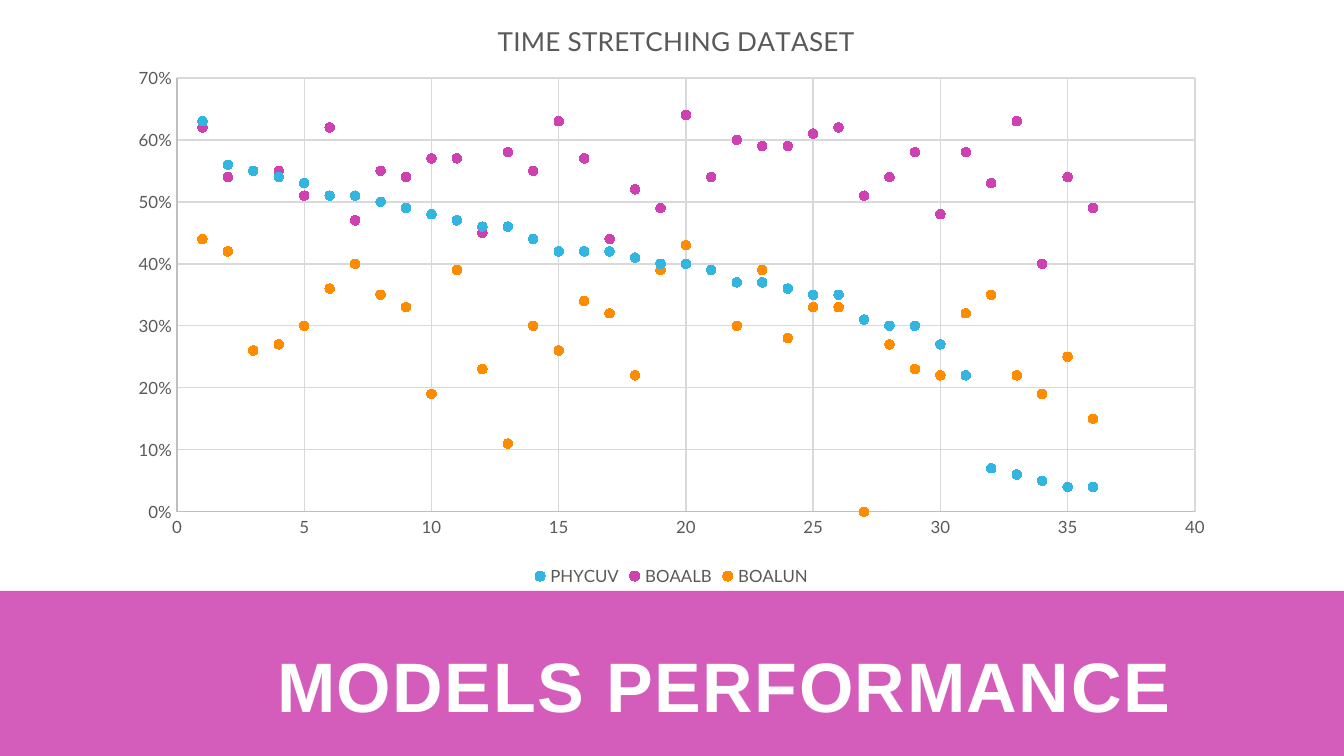
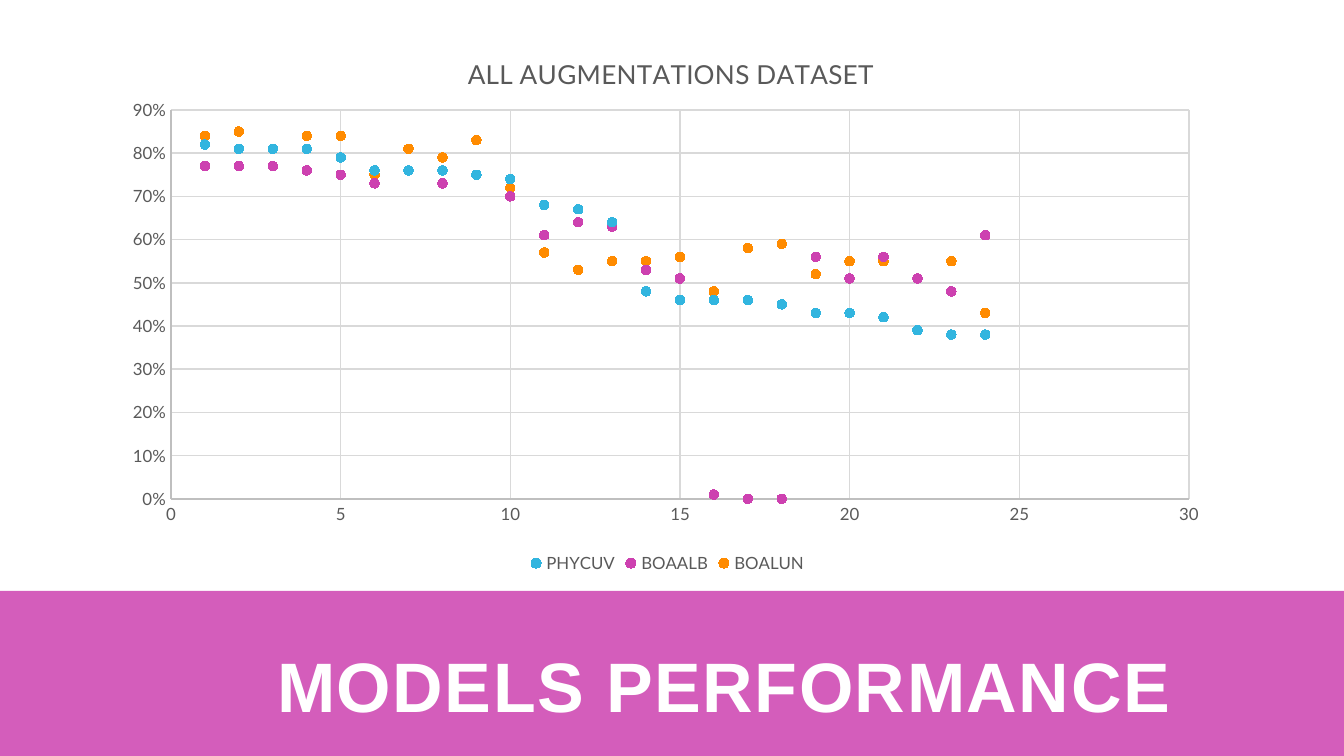
from pptx import Presentation
from pptx.chart.data import XyChartData
from pptx.dml.color import RGBColor
from pptx.enum.chart import XL_CHART_TYPE, XL_LEGEND_POSITION, XL_MARKER_STYLE, XL_TICK_MARK
from pptx.enum.text import MSO_ANCHOR, PP_ALIGN
from pptx.oxml import parse_xml
from pptx.oxml.ns import nsdecls, qn
from pptx.util import Pt
from lxml import etree

SCATTER = XL_CHART_TYPE.XY_SCATTER
BOTTOM = XL_LEGEND_POSITION.BOTTOM
CIRCLE = XL_MARKER_STYLE.CIRCLE
NO_TICK = XL_TICK_MARK.NONE
MIDDLE = MSO_ANCHOR.MIDDLE
CENTER = PP_ALIGN.CENTER

SCALE = 914400 / 134.4
WIDTH, HEIGHT = 1344, 756
COLORS = {
    "white": "FFFFFF",
    "band": "CD41B0",
    "text": "595959",
    "axis": "BFBFBF",
    "grid": "D9D9D9",
    "PHYCUV": "32B5DF",
    "BOAALB": "CD41B0",
    "BOALUN": "FF8B00",
}


def px(n):
    return round(n * SCALE)


def color(name):
    return RGBColor.from_string(COLORS[name])


class Deck:
    def __init__(self):
        self.prs = Presentation()
        self.prs.slide_width = px(WIDTH)
        self.prs.slide_height = px(HEIGHT)
        self.slide = None

    def add(self, title):
        self.slide = self.prs.slides.add_slide(self.prs.slide_layouts[5])
        self.title(title)

    def font(self, font, size, name="text", face="Lato", bold=False):
        font.size = Pt(size)
        font.name = face
        font.bold = bold
        font.color.rgb = color(name)

    def line(self, line, name):
        line.color.rgb = color(name)
        line.width = Pt(0.75)

    def title(self, text):
        band = self.slide.shapes.title
        band.left, band.top = 0, px(591)
        band.width, band.height = px(WIDTH), px(HEIGHT - 591)
        band.fill.solid()
        band.fill.fore_color.rgb = color("band")
        tint = band.element.spPr.find(".//" + qn("a:srgbClr"))
        etree.SubElement(tint, qn("a:alpha")).set("val", "85000")
        frame = band.text_frame
        frame.word_wrap = True
        frame.vertical_anchor = MIDDLE
        frame.margin_left, frame.margin_top = px(117), px(43)
        frame.margin_right, frame.margin_bottom = px(13), px(7)
        frame.text = text
        para = frame.paragraphs[0]
        para.alignment = CENTER
        para.line_spacing = 0.85
        self.font(para.font, 37.5, "white", "Arial", True)
        para.runs[0].font.bold = True
        para.runs[0].font._element.set("spc", "80")

    def place(self, part, index, box, spot, inner=False):
        left, top, width, height = box
        parts = [("xMode", "edge"), ("yMode", "edge"),
                 ("x", (spot[0] - left) / width), ("y", (spot[1] - top) / height)]
        if inner:
            parts.insert(0, ("layoutTarget", "inner"))
            parts += [("w", spot[2] / width), ("h", spot[3] / height)]
        for old in part.findall(qn("c:layout")):
            part.remove(old)
        layout = parse_xml(f"<c:layout {nsdecls('c')}><c:manualLayout/></c:layout>")
        for tag, val in parts:
            etree.SubElement(layout[0], qn("c:" + tag)).set("val", str(val))
        part.insert(index, layout)

    def axis(self, axis, top, step, form):
        axis.minimum_scale, axis.maximum_scale = 0, top
        axis.major_unit = step
        axis.has_title = False
        axis.has_major_gridlines = True
        axis.major_tick_mark = axis.minor_tick_mark = NO_TICK
        axis.tick_labels.number_format = form
        axis.tick_labels.number_format_is_linked = False
        self.font(axis.tick_labels.font, 9)
        self.line(axis.format.line, "axis")
        self.line(axis.major_gridlines.format.line, "grid")

    def scatter(self, title, box, head, plot, tops, table):
        data = XyChartData(number_format="0%")
        for name, vals in table.items():
            series = data.add_series(name)
            for x, y in enumerate(vals, 1):
                series.add_data_point(x, y / 100)
        chart = self.slide.shapes.add_chart(SCATTER, *map(px, box), data).chart
        chart.font.size = Pt(10)
        chart.font.name = "Lato"
        chart.has_title = True
        chart.chart_title.include_in_layout = False
        frame = chart.chart_title.text_frame
        frame.text = title
        self.font(frame.paragraphs[0].font, 14)
        chart.has_legend = True
        chart.legend.position = BOTTOM
        chart.legend.include_in_layout = False
        self.font(chart.legend.font, 9)
        self.axis(chart.category_axis, tops[0], 5, "General")
        self.axis(chart.value_axis, tops[1], 0.1, "0%")
        chart.plots[0].vary_by_categories = False
        for series in chart.plots[0].series:
            series.smooth = False
            series.format.line.fill.background()
            mark = series.marker
            mark.style, mark.size = CIRCLE, 5
            mark.format.fill.solid()
            mark.format.fill.fore_color.rgb = color(series.name)
            self.line(mark.format.line, series.name)
        root = chart.element.find(qn("c:chart"))
        self.place(root.find(qn("c:title")), 1, box, head)
        self.place(root.find(qn("c:plotArea")), 0, box, plot, True)


STRETCH = {
    "PHYCUV": [63, 56, 55, 54, 53, 51, 51, 50, 49, 48, 47, 46,
               46, 44, 42, 42, 42, 41, 40, 40, 39, 37, 37, 36,
               35, 35, 31, 30, 30, 27, 22, 7, 6, 5, 4, 4],
    "BOAALB": [62, 54, 55, 55, 51, 62, 47, 55, 54, 57, 57, 45,
               58, 55, 63, 57, 44, 52, 49, 64, 54, 60, 59, 59,
               61, 62, 51, 54, 58, 48, 58, 53, 63, 40, 54, 49],
    "BOALUN": [44, 42, 26, 27, 30, 36, 40, 35, 33, 19, 39, 23,
               11, 30, 26, 34, 32, 22, 39, 43, 39, 30, 39, 28,
               33, 33, 0, 27, 23, 22, 32, 35, 22, 19, 25, 15],
}
ALL = {
    "PHYCUV": [82, 81, 81, 81, 79, 76, 76, 76, 75, 74, 68, 67,
               64, 48, 46, 46, 46, 45, 43, 43, 42, 39, 38, 38],
    "BOAALB": [77, 77, 77, 76, 75, 73, 76, 73, 75, 70, 61, 64,
               63, 53, 51, 1, 0, 0, 56, 51, 56, 51, 48, 61],
    "BOALUN": [84, 85, 81, 84, 84, 75, 81, 79, 83, 72, 57, 53,
               55, 55, 56, 48, 58, 59, 52, 55, 55, 51, 55, 43],
}

deck = Deck()
deck.add("MODELS PERFORMANCE")
deck.scatter("TIME STRETCHING DATASET", (116, -11, 1111, 603), (493, 17),
             (177, 78, 1018, 434), (40, 0.7), STRETCH)
deck.add("MODELS PERFORMANCE")
deck.scatter("ALL AUGMENTATIONS DATASET", (112, 23, 1111, 556), (463, 50),
             (171, 110, 1018, 389), (30, 0.9), ALL)
deck.prs.save("out.pptx")
